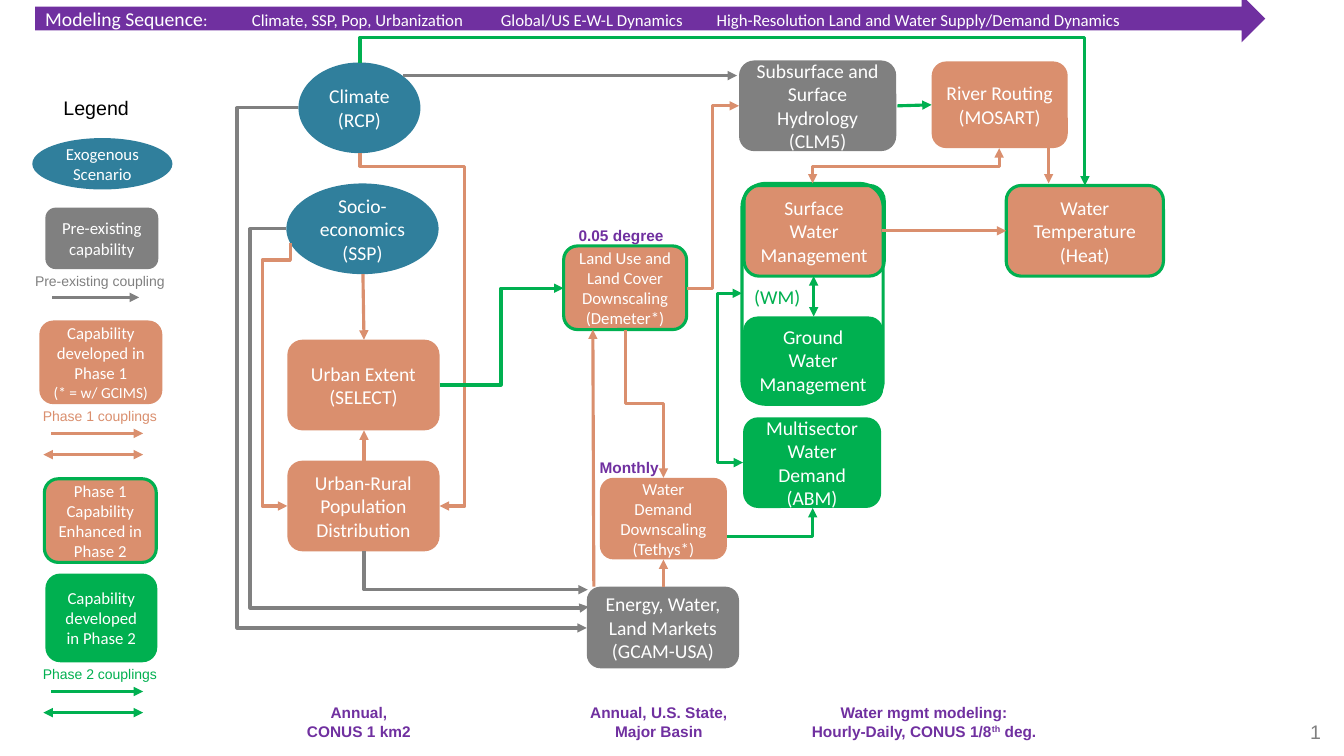
from collections import namedtuple
from lxml.etree import SubElement
from pptx import Presentation
from pptx.dml.color import RGBColor
from pptx.enum.shapes import MSO_CONNECTOR as Link, MSO_SHAPE as Shape
from pptx.enum.text import MSO_ANCHOR as Anchor, PP_ALIGN as Align
from pptx.oxml.ns import qn
from pptx.util import Cm, Pt

WHITE = RGBColor(0xFF, 0xFF, 0xFF)
BLACK = RGBColor(0, 0, 0)
GRAY = RGBColor(0x80, 0x80, 0x80)
ORANGE = RGBColor(0xDA, 0x8F, 0x6E)
GREEN = RGBColor(0x00, 0xB0, 0x50)
BLUE = RGBColor(0x30, 0x7F, 0x9C)
PURPLE = RGBColor(0x70, 0x30, 0xA0)
UNIT = 2.54  # one layout unit in centimetres

Box = namedtuple("Box", "left top width height")


def length(units):
    return Cm(units * UNIT)


def inside(box, left, top, width, height):
    return Box(box.left + left, box.top + top, width, height)


def write(shape, text, size=14, font="Calibri", color=WHITE, bold=False,
          align=Align.CENTER, anchor=Anchor.MIDDLE, wrap=True):
    """Fill a shape with lines; a line is a string or a list of (string, rPr values)."""
    frame = shape.text_frame
    frame.word_wrap, frame.vertical_anchor = wrap, anchor
    lines = text.split("\n") if isinstance(text, str) else text
    for number, line in enumerate(lines):
        para = frame.paragraphs[0] if number == 0 else frame.add_paragraph()
        para.alignment = align
        for words, extra in [(line, {})] if isinstance(line, str) else line:
            span = para.add_run()
            span.text = words
            span.font.name, span.font.size, span.font.bold = font, Pt(size), bold
            span.font.color.rgb = color
            for name, value in extra.items():
                span.font._element.set(name, value)


def add_label(page, box, text, **style):
    shape = page.shapes.add_textbox(*map(length, box))
    write(shape, text, **{"font": "Arial", "anchor": Anchor.TOP, **style})


def add_node(page, box, text="", fill=ORANGE, line=None, kind=Shape.ROUNDED_RECTANGLE, **style):
    node = page.shapes.add_shape(kind, *map(length, box))
    node.shadow.inherit = False
    if fill is None:
        node.fill.background()
    else:
        node.fill.solid()
        node.fill.fore_color.rgb = fill
    if line is None:
        node.line.fill.background()
    else:
        node.line.color.rgb, node.line.width = line, Pt(2.25)
    if text:
        write(node, text, **style)
    return node


def add_link(page, box, points, color=ORANGE, ends=("tailEnd",)):
    """Arrow through the points; inner points are the bends of an elbow."""
    points = [(box.left + x, box.top + y) for x, y in points]
    (x0, y0), (x1, y1) = points[0], points[-1]
    dx, dy = x1 - x0, y1 - y0
    bends = points[1:-1]
    turn = 0
    if bends and bends[0][0] == x0:  # starts vertically: lay out flat, then rotate
        turn = 1 if dx < 0 else -1
        middle_x, middle_y = (x0 + x1) / 2, (y0 + y1) / 2
        half_x, half_y = turn * dy / 2, -turn * dx / 2
        start = middle_x - half_x, middle_y - half_y
        finish = middle_x + half_x, middle_y + half_y
    else:
        start, finish = points[0], points[-1]
    link = page.shapes.add_connector(Link.ELBOW if bends else Link.STRAIGHT,
                                     *map(length, start + finish))
    link.line.color.rgb, link.line.width = color, Pt(2.25)
    props = link._element.spPr
    if turn:
        props.find(qn("a:xfrm")).set("rot", str(turn * 90 * 60000 % 21600000))
    if bends:
        preset = props.find(qn("a:prstGeom"))
        preset.set("prst", f"bentConnector{len(bends) + 1}")
        guides = preset.find(qn("a:avLst"))
        if guides is None:
            guides = SubElement(preset, qn("a:avLst"))
        for index, (x, y) in enumerate(bends[:len(bends) - 1]):
            along_y = (index == 0) == bool(turn)
            share = (y - y0) / dy if along_y else (x - x0) / dx
            SubElement(guides, qn("a:gd"), name=f"adj{index + 1}",
                       fmla=f"val {round(share * 100000)}")
    outline = props.find(qn("a:ln"))
    for end in sorted(ends):
        SubElement(outline, qn(f"a:{end}"), type="triangle")
    SubElement(props, qn("a:effectLst"))


BOTH = ("headEnd", "tailEnd")


def draw_sequence(page, box):
    small = {"sz": "1200"}
    parts = ["Climate, SSP, Pop, Urbanization", "Global/US E-W-L Dynamics",
             "High-Resolution Land and Water Supply/Demand Dynamics"]
    arrow = add_node(page, box, [[("Modeling Sequence", {}), (":\t" + "\t".join(parts), small)]],
                     PURPLE, kind=Shape.RIGHT_ARROW, align=Align.LEFT)
    stops = SubElement(arrow.text_frame.paragraphs[0]._p.get_or_add_pPr(), qn("a:tabLst"))
    for stop in (2.05, 4.52, 6.66):
        SubElement(stops, qn("a:tab"), pos=str(length(stop)), algn="l")


def draw_legend(page, box):
    add_label(page, inside(box, 0.23, 0, 0.85, 0.34), "Legend", color=BLACK,
              align=Align.LEFT, wrap=False)
    for place, text, fill, line, kind in [
        ((0.02, 0.47, 1.39, 0.51), "Exogenous Scenario", BLUE, None, Shape.OVAL),
        ((0.15, 1.16, 1.12, 0.61), "Pre-existing capability", GRAY, None, None),
        ((0.09, 2.28, 1.22, 0.83),
         ["Capability developed in Phase 1", [("(* = w/ GCIMS)", {"sz": "1100"})]],
         ORANGE, None, None),
        ((0.14, 3.85, 1.11, 0.83), "Phase 1 Capability Enhanced in Phase 2", ORANGE, GREEN, None),
        ((0.15, 4.79, 1.11, 0.88), "Capability developed in Phase 2", GREEN, None, None),
    ]:
        add_node(page, inside(box, *place), text, fill, line,
                 kind or Shape.ROUNDED_RECTANGLE, size=12)
    for top, text, color in [(1.75, "Pre-existing coupling", GRAY),
                             (3.09, "Phase 1 couplings", ORANGE),
                             (5.65, "Phase 2 couplings", GREEN)]:
        add_label(page, inside(box, -0.08, top, 1.54, 0.27), text, size=10, color=color, wrap=False)
        if color == GRAY:
            add_link(page, box, [(0.22, top + 0.3), (1.08, top + 0.3)], color)
        else:
            add_link(page, box, [(0.21, top + 0.31), (1.12, top + 0.31)], color)
            add_link(page, box, [(0.13, top + 0.52), (1.12, top + 0.52)], color, BOTH)


def draw_population(page, box):
    add_node(page, inside(box, 0.12, 0, 1.21, 0.9), "Climate\n(RCP)", BLUE, kind=Shape.OVAL)
    add_node(page, inside(box, 0, 1.2, 1.51, 0.9), "Socio-economics\n(SSP)", BLUE, kind=Shape.OVAL)
    add_node(page, inside(box, 0.01, 2.75, 1.51, 0.9), "Urban Extent\n(SELECT)")
    add_node(page, inside(box, 0.01, 3.95, 1.51, 0.9), "Urban-Rural Population Distribution")
    for points in [
        [(0.77, 3.95), (0.77, 3.65)],
        [(0.76, 2.1), (0.77, 2.75)],
        [(0.04, 1.79), (0.04, 1.96), (-0.24, 1.96), (-0.24, 4.4), (0.01, 4.4)],
        [(0.73, 0.9), (0.73, 1.03), (1.77, 1.03), (1.77, 4.4), (1.52, 4.4)],
    ]:
        add_link(page, box, points)


def draw_land_energy(page, box):
    add_node(page, inside(box, 0.05, 0.25, 1.22, 0.83),
             "Land Use and Land Cover Downscaling\n(Demeter*)", line=GREEN, size=12)
    add_node(page, inside(box, 0.41, 2.55, 1.26, 0.81),
             "Water Demand Downscaling\n(Tethys*)", size=12)
    add_node(page, inside(box, 0.28, 3.63, 1.51, 0.81),
             "Energy, Water, Land Markets\n(GCAM-USA)", GRAY)
    for left, top, text in [(0, 0, "0.05 degree"), (0.08, 2.31, "Monthly")]:
        add_label(page, inside(box, left, top, 1.24, 0.29), text, size=11, color=PURPLE, bold=True)
    for points in [[(0.35, 3.63), (0.34, 1.08)],
                   [(1.04, 3.63), (1.04, 3.36)],
                   [(0.66, 1.08), (0.66, 1.81), (1.04, 1.81), (1.04, 2.55)]]:
        add_link(page, box, points)


def draw_water(page, box):
    add_node(page, inside(box, 0.03, 2.17, 0.7, 0.34), "(WM)", WHITE,
             kind=Shape.RECTANGLE, color=GREEN)
    for place, text, fill, line in [
        ((0.04, 3.54, 1.37, 0.9), "Multisector Water Demand\n(ABM)", GREEN, None),
        ((2.65, 1.24, 1.56, 0.9), "Water\nTemperature\n(Heat)", ORANGE, GREEN),
        ((0.05, 1.24, 1.39, 0.9), "Surface Water Management", ORANGE, GREEN),
        ((0, 0, 1.56, 0.9), "Subsurface and Surface Hydrology\n(CLM5)", GRAY, None),
        ((1.91, 0.01, 1.35, 0.86), "River Routing\n(MOSART)", ORANGE, None),
        ((0.04, 2.54, 1.39, 0.86), "Ground Water Management", GREEN, None),
        ((0.03, 1.22, 1.4, 2.19), "", None, GREEN),
    ]:
        add_node(page, inside(box, *place), text, fill, line)
    for points, color, ends in [
        ([(1.42, 1.69), (2.65, 1.69)], ORANGE, BOTH[1:]),
        ([(3.07, 0.82), (3.07, 1.22)], ORANGE, BOTH[1:]),
        ([(2.58, 0.87), (2.58, 1.05), (0.73, 1.05), (0.73, 1.22)], ORANGE, BOTH),
        ([(1.57, 0.45), (1.91, 0.44)], GREEN, BOTH[1:]),
        ([(0.74, 2.54), (0.74, 2.14)], GREEN, BOTH),
        ([(0.04, 3.99), (-0.22, 3.99), (-0.22, 2.31), (0.03, 2.31)], GREEN, BOTH),
    ]:
        add_link(page, box, points, color, ends)


def draw_couplings(page, box):
    """Arrows that run from one group of models to another."""
    for color, points in [
        (GRAY, [(4, 0.75), (7.31, 0.75)]),
        (GRAY, [(2.96, 1.07), (2.35, 1.07), (2.35, 6.23), (5.82, 6.23)]),
        (GRAY, [(2.84, 2.27), (2.48, 2.27), (2.48, 6.03), (5.84, 6.03), (5.84, 6.02)]),
        (GRAY, [(3.61, 5.47), (3.61, 5.85), (5.83, 5.85)]),
        (ORANGE, [(6.81, 2.86), (7.07, 2.86), (7.07, 1.05), (7.33, 1.05)]),
        (GREEN, [(4.36, 3.82), (4.97, 3.82), (4.97, 2.86), (5.59, 2.86)]),
        (GREEN, [(3.57, 0.62), (3.57, 0.37), (10.76, 0.37), (10.76, 1.84)]),
        (GREEN, [(7.21, 5.32), (8.06, 5.32), (8.06, 5.04)]),
    ]:
        add_link(page, box, points, color)


def draw_scales(page, box):
    style = dict(size=11, color=PURPLE, bold=True, wrap=False)
    degree = [("Hourly-Daily, CONUS 1/8", {}), ("th", {"baseline": "30000"}), (" deg.", {})]
    for left, width, text in [(0, 1.24, "Annual,\nCONUS 1 km2"),
                              (2.79, 1.61, "Annual, U.S. State,\nMajor Basin"),
                              (4.93, 2.59, ["Water mgmt modeling:", degree])]:
        add_label(page, inside(box, left, 0, width, box.height), text, **style)


deck = Presentation()
deck.slide_width, deck.slide_height = length(13.33), length(7.5)
page = deck.slides.add_slide(deck.slide_layouts[6])
draw_population(page, Box(2.84, 0.62, 1.8, 4.85))
draw_land_energy(page, Box(5.54, 2.19, 1.8, 4.44))
draw_water(page, Box(7.33, 0.6, 4.21, 4.44))
draw_couplings(page, Box(0, 0, 13.33, 7.5))
draw_sequence(page, Box(0.35, -0.05, 12.2, 0.47))
draw_legend(page, Box(0.3, 0.9, 1.5, 6.2))
draw_scales(page, Box(2.94, 6.93, 7.6, 0.47))
add_label(page, Box(11.95, 7.09, 1.25, 0.4), "1", color=GRAY, align=Align.RIGHT)
deck.save("out.pptx")
